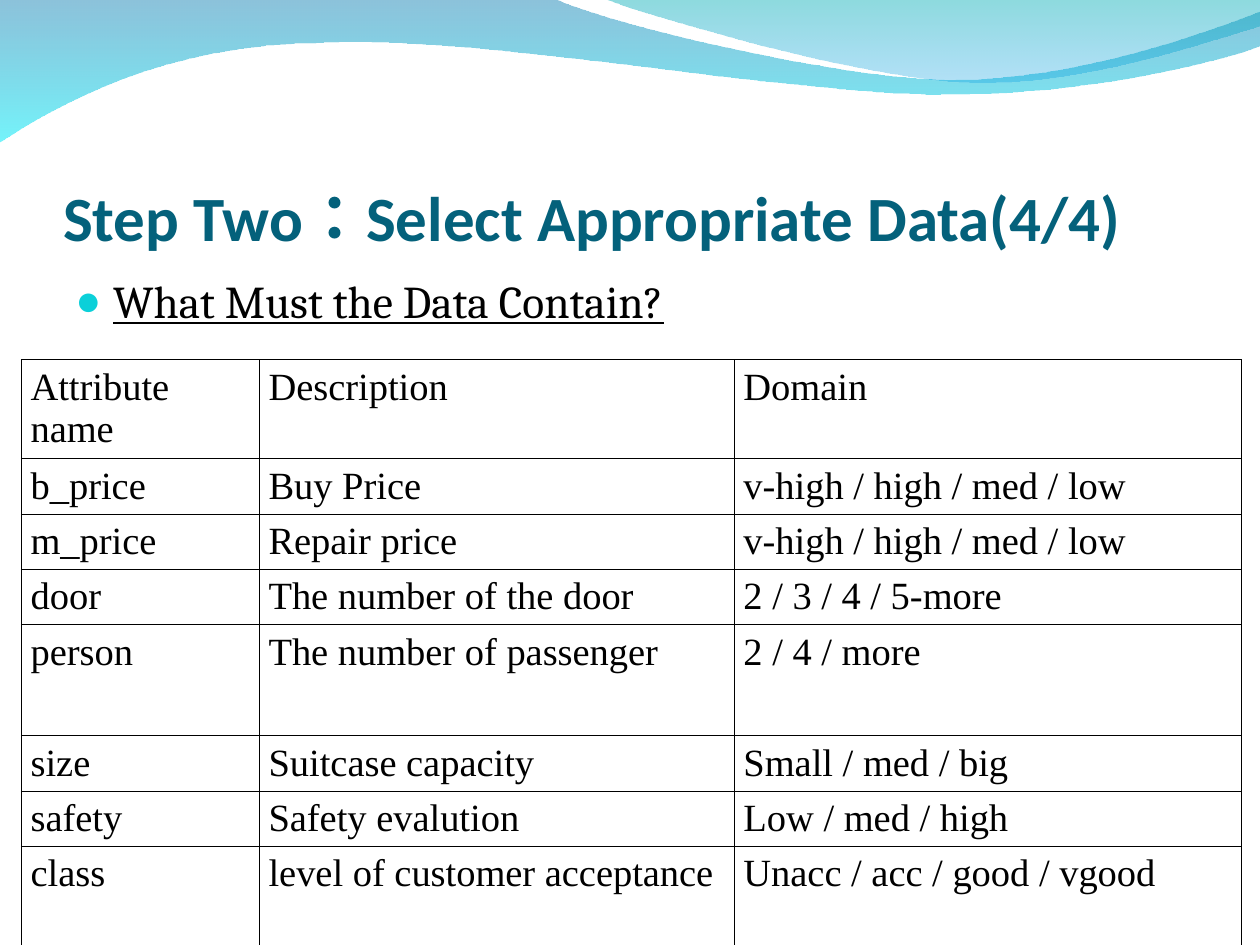
from lxml.etree import SubElement
from pptx import Presentation
from pptx.dml.color import RGBColor
from pptx.enum.lang import MSO_LANGUAGE_ID as Language
from pptx.enum.text import MSO_ANCHOR as Anchor, MSO_AUTO_SIZE as AutoSize, PP_ALIGN as Align
from pptx.oxml.ns import qn
from pptx.util import Pt

BLACK, TITLE_BLUE, BULLET_CYAN = "000000", "04617B", "0BD0D9"

# Wave outlines: two values are a straight line, six values a Bézier curve
LONG_WAVE = [
    (0, -0.7), (316.8, -0.7),
    (342.7, 12.2, 478.1, 45.4, 545.8, 45.4),
    (614.2, 45.4, 689.8, 18.7, 720, 6.5),
    (720.7, 25.9),
    (708, 31.7, 626.4, 54.7, 537.1, 54),
    (447.8, 54, 275, 20.2, 185, 24.5),
    (92.9, 25.2, 33.1, 59.8, -0.7, 81.4),
]
SHORT_WAVE = [
    (344.9, -0.7),
    (366.5, 7.9, 491, 44.6, 553.7, 46.8),
    (616.3, 49.7, 691.9, 23, 720, 15.1),
    (720, 0),
]

COLUMN_WIDTHS = [136, 271.4, 290]
ROW = 31.68
ROW_HEIGHTS = [56, ROW, ROW, ROW, 2 * ROW, ROW, ROW, 2 * ROW]
ATTRIBUTES = [
    ("Attribute name", "Description", "Domain"),
    ("b_price", "Buy Price", "v-high / high / med / low"),
    ("m_price", "Repair price", "v-high / high / med / low"),
    ("door", "The number of the door", "2 / 3 / 4 / 5-more"),
    ("person", "The number of passenger", "2 / 4 / more"),
    ("size", "Suitcase capacity", "Small / med / big"),
    ("safety", "Safety evalution", "Low / med / high"),
    ("class", "level of customer acceptance", "Unacc / acc / good / vgood"),
]


def color(value):
    return RGBColor.from_string(value)


def add_run(paragraph, text, font_name, size, value, bold=False, underline=False):
    run = paragraph.add_run()
    run.text = text
    font = run.font
    font.name, font.size, font.bold, font.underline = font_name, Pt(size), bold, underline
    font.color.rgb = color(value)
    return run


def bend_segments(shape, segments):
    """Turn each three lines that stand for a curve into one Bézier segment."""
    lines = iter(list(shape._element.spPr.iter(qn("a:lnTo"))))
    for segment in segments:
        line = next(lines)
        if len(segment) == 6:
            line.tag = qn("a:cubicBezTo")
            for _ in range(2):
                extra = next(lines)
                line.append(extra[0])
                extra.getparent().remove(extra)


def add_wave(slide, outline, stops):
    start, *segments = outline
    points = [(Pt(segment[i]), Pt(segment[i + 1]))
              for segment in segments for i in range(0, len(segment), 2)]
    builder = slide.shapes.build_freeform(Pt(start[0]), Pt(start[1]))
    builder.add_line_segments(points, close=True)
    shape = builder.convert_to_shape()
    bend_segments(shape, segments)
    shape.shadow.inherit = False
    shape.line.fill.background()

    # Vertical gradient with a transparency for each stop
    shape.fill.gradient()
    shape.fill.gradient_angle = 270
    for stop, (value, _) in zip(shape.fill.gradient_stops, stops):
        stop.color.rgb = color(value)
    for element, (_, opacity) in zip(shape._element.spPr.iter(qn("a:srgbClr")), stops):
        SubElement(element, qn("a:alpha"), val=str(opacity * 1000))


def format_title(slide, text):
    title = slide.shapes.title
    title.left, title.top, title.width, title.height = Pt(36), Pt(55.4), Pt(648), Pt(90)
    frame = title.text_frame
    frame.auto_size = AutoSize.NONE
    frame.vertical_anchor = Anchor.BOTTOM
    frame.margin_left = frame.margin_right = frame.margin_bottom = Pt(0)
    frame.margin_top = Pt(3.6)
    paragraph = frame.paragraphs[0]
    paragraph.alignment = Align.LEFT
    run = add_run(paragraph, text, "Calibri", 36, TITLE_BLUE, bold=True)
    # Centres the full-width colon
    run.font.language_id = Language.TRADITIONAL_CHINESE


def add_bullet_text(slide, text):
    box = slide.shapes.add_textbox(Pt(36), Pt(152.6), Pt(648), Pt(345.6))
    frame = box.text_frame
    frame.word_wrap = True
    paragraph = frame.paragraphs[0]
    paragraph.space_before = Pt(6.5)
    add_run(paragraph, text, "Cambria", 26, BLACK, underline=True)

    # Hanging bullet
    properties = paragraph._p.get_or_add_pPr()
    properties.set("marL", str(Pt(21.6)))
    properties.set("indent", str(Pt(-21.6)))
    bullet_color = SubElement(properties, qn("a:buClr"))
    SubElement(bullet_color, qn("a:srgbClr"), val=BULLET_CYAN)
    SubElement(properties, qn("a:buSzPct"), val="95000")
    SubElement(properties, qn("a:buFont"), typeface="Times New Roman")
    SubElement(properties, qn("a:buChar"), char="●")


def add_borders(cell, value, width):
    properties = cell._tc.get_or_add_tcPr()
    for side in ("lnL", "lnR", "lnT", "lnB"):
        line = SubElement(properties, qn(f"a:{side}"), w=str(Pt(width)))
        SubElement(SubElement(line, qn("a:solidFill")), qn("a:srgbClr"), val=value)


def format_cell(cell, text):
    cell.margin_left = cell.margin_right = Pt(5.4)
    cell.margin_top, cell.margin_bottom = Pt(3.6), Pt(0)
    add_borders(cell, BLACK, 0.45)
    cell.fill.background()
    paragraph = cell.text_frame.paragraphs[0]
    paragraph.alignment = Align.JUSTIFY
    add_run(paragraph, text, "Times New Roman", 22, BLACK)


def add_attribute_table(slide):
    table = slide.shapes.add_table(
        len(ATTRIBUTES), len(COLUMN_WIDTHS), Pt(12.1), Pt(205.6),
        Pt(sum(COLUMN_WIDTHS)), Pt(sum(ROW_HEIGHTS))).table
    table.first_row = table.horz_banding = False
    for column, width in zip(table.columns, COLUMN_WIDTHS):
        column.width = Pt(width)
    for row, height, texts in zip(table.rows, ROW_HEIGHTS, ATTRIBUTES):
        row.height = Pt(height)
        for cell, text in zip(row.cells, texts):
            format_cell(cell, text)


def main():
    presentation = Presentation()
    presentation.slide_width, presentation.slide_height = Pt(720), Pt(540)
    slide = presentation.slides.add_slide(presentation.slide_layouts[5])

    # Waves along the top edge
    add_wave(slide, LONG_WAVE, [("0079AF", 45), ("00EBF8", 55)])
    add_wave(slide, SHORT_WAVE, [("00ADB6", 45), ("009BE5", 30)])

    # Heading and content
    format_title(slide, "Step Two：Select Appropriate Data(4/4)")
    add_bullet_text(slide, "What Must the Data Contain?")
    add_attribute_table(slide)

    presentation.save("out.pptx")


if __name__ == "__main__":
    main()
